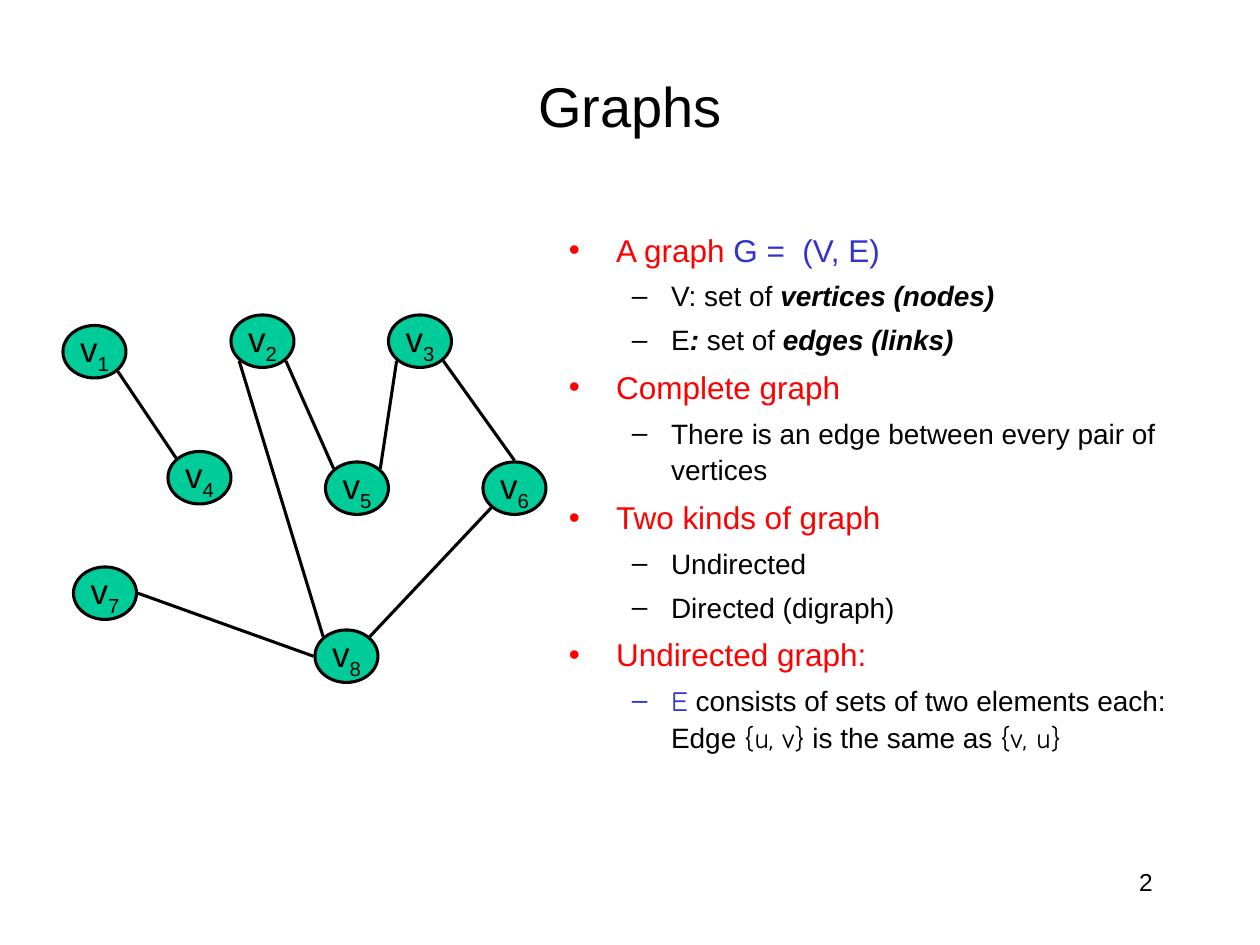
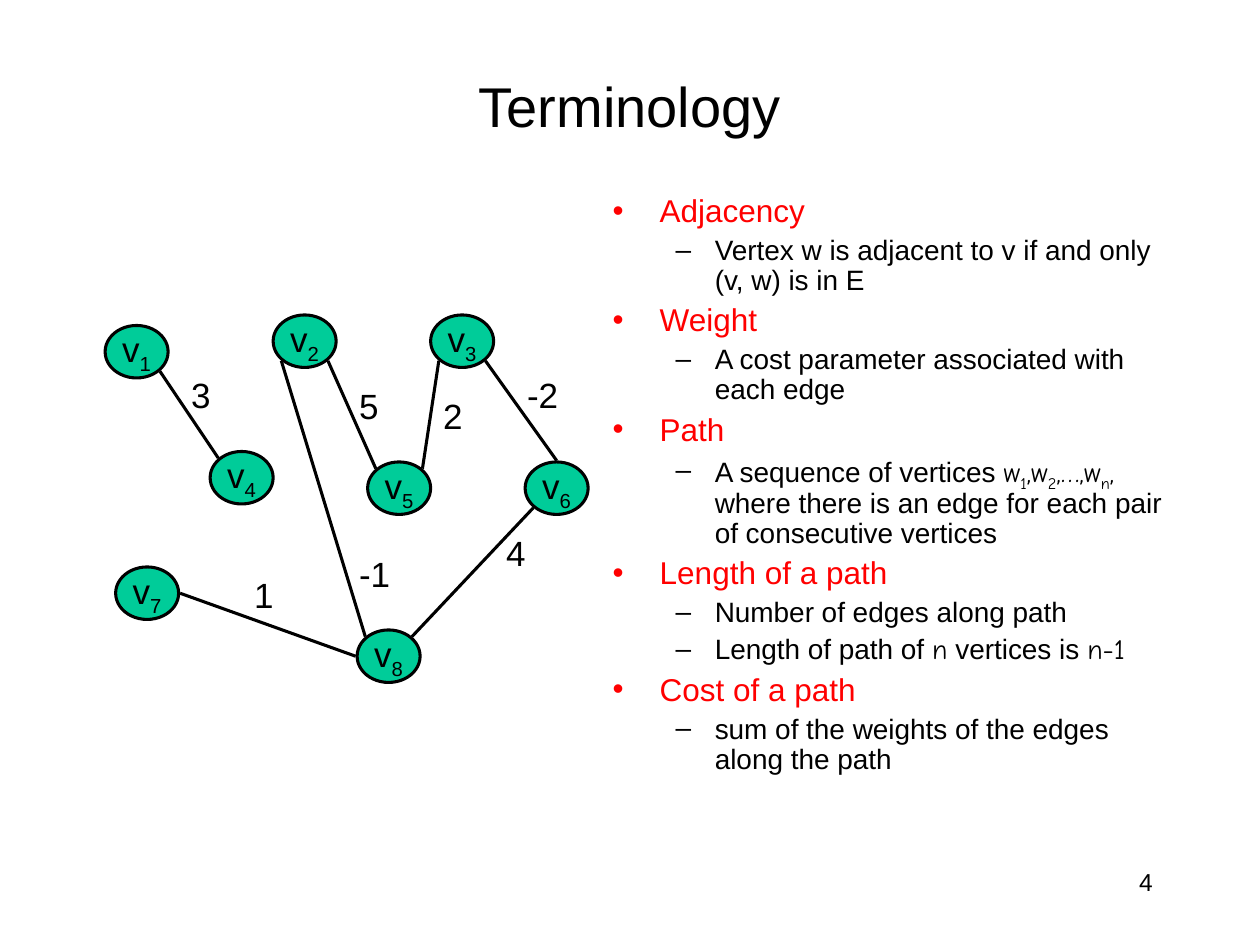
from math import cos, radians, sin

from lxml import etree
from pptx import Presentation
from pptx.dml.color import RGBColor
from pptx.enum.shapes import MSO_CONNECTOR, MSO_SHAPE
from pptx.enum.text import MSO_ANCHOR, PP_ALIGN
from pptx.oxml.ns import qn
from pptx.util import Cm, Pt

STRAIGHT = MSO_CONNECTOR.STRAIGHT
OVAL = MSO_SHAPE.OVAL
MIDDLE = MSO_ANCHOR.MIDDLE
CENTER, LEFT, RIGHT = PP_ALIGN.CENTER, PP_ALIGN.LEFT, PP_ALIGN.RIGHT

BLACK = RGBColor(0x00, 0x00, 0x00)
RED = RGBColor(0xFF, 0x00, 0x00)
BLUE = RGBColor(0x33, 0x33, 0xCC)
GREEN = RGBColor(0x00, 0xCC, 0x99)

SANS = "Arial"
MATH = "Comic Neue"
EMPHASIS = {"bold": True, "italic": True}
FORMULA = {"name": MATH}
SUBSCRIPT = {"name": MATH, "sub": True}

GRID = 2.54 / 12
NODE_WIDTH, NODE_HEIGHT = 6 * GRID, 5 * GRID
OUTLINE_GAP = 0.03
STROKE = Pt(1.75)

VERTICES = {
    1: (0, 1), 2: (16, 0), 3: (31, 0), 4: (10, 13),
    5: (25, 14), 6: (40, 14), 7: (1, 24), 8: (24, 30),
}
ANGLES = {"E": 0, "SE": 45, "SW": 135, "W": 180, "NW": 225, "N": 270, "NE": 315}
EDGES = [
    (1, "SE", 4, "NW"), (2, "SE", 5, "NW"), (3, "SW", 5, "NE"), (8, "NE", 6, "SW"),
    (2, "SW", 8, "NW"), (3, "SE", 6, "N"), (7, "E", 8, "W"),
]
WEIGHTS = [
    ("3", 7, 5), ("1", 13, 24), ("-1", 23, 22), ("5", 23, 6),
    ("2", 31, 7), ("-2", 39, 5), ("4", 37, 20),
]

LEVELS = [
    {"bullet": "•", "size": 18, "color": RED, "margin": 0.95, "hang": 0.95, "before": 4.5},
    {"bullet": "–", "size": 16, "color": BLACK, "margin": 2.06, "hang": 0.79, "before": 4},
]

GRAPH_OUTLINE = [
    (0, ["A graph ", ("G =  (V, E)", {"color": BLUE})]),
    (1, ["V: set of ", ("vertices (nodes)", EMPHASIS)]),
    (1, ["E", (": ", EMPHASIS), "set of ", ("edges (links)", EMPHASIS)]),
    (0, ["Complete graph"]),
    (1, ["There is an edge between every pair of vertices"]),
    (0, ["Two kinds of graph"]),
    (1, ["Undirected"]),
    (1, ["Directed (digraph)"]),
    (0, ["Undirected graph:"]),
    (1, [("E", {"name": MATH, "color": BLUE}),
         " consists of sets of two elements each: Edge ", ("{u, v}", FORMULA),
         " is the same as ", ("{v, u}", FORMULA)]),
]
TERM_OUTLINE = [
    (0, ["Adjacency"]),
    (1, ["Vertex w is adjacent to v if and only (v, w) is in E"]),
    (0, ["Weight"]),
    (1, ["A cost parameter associated with each edge"]),
    (0, ["Path"]),
    (1, ["A sequence of vertices ", ("w", FORMULA), ("1", SUBSCRIPT), (",w", FORMULA),
         ("2", SUBSCRIPT), (",…,w", FORMULA), ("n", SUBSCRIPT), (", ", FORMULA),
         "where there is an edge for each pair of consecutive vertices"]),
    (0, ["Length of a path"]),
    (1, ["Number of edges along path"]),
    (1, ["Length of path of ", ("n", FORMULA), " vertices is ", ("n-1", FORMULA)]),
    (0, ["Cost of a path"]),
    (1, ["sum of the weights of the edges along the path"]),
]


def style_paragraph(paragraph, size, color=BLACK, align=LEFT):
    paragraph.alignment = align
    paragraph.font.size = Pt(size)
    paragraph.font.name = SANS
    paragraph.font.color.rgb = color


def add_run(paragraph, text, name=None, color=None, bold=None, italic=None, sub=False):
    run = paragraph.add_run()
    run.text = text
    run.font.name = name
    run.font.bold = bold
    run.font.italic = italic
    if color is not None:
        run.font.color.rgb = color
    if sub:
        run._r.get_or_add_rPr().set("baseline", "-25000")


def add_label(shapes, box, text, size, align=LEFT, wrap=True):
    label = shapes.add_textbox(*map(Cm, box))
    frame = label.text_frame
    frame.word_wrap = wrap
    frame.text = text
    style_paragraph(frame.paragraphs[0], size, align=align)
    return frame


def add_bullet(paragraph, level, color):
    properties = paragraph._p.get_or_add_pPr()
    properties.set("marL", str(Cm(level["margin"])))
    properties.set("indent", str(-Cm(level["hang"])))
    bullet_color = etree.SubElement(properties, qn("a:buClr"))
    etree.SubElement(bullet_color, qn("a:srgbClr")).set("val", str(color))
    etree.SubElement(properties, qn("a:buFont")).set("typeface", SANS)
    etree.SubElement(properties, qn("a:buChar")).set("char", level["bullet"])


def add_outline(slide, box, items, line_spacing):
    frame = slide.shapes.add_textbox(*map(Cm, box)).text_frame
    frame.word_wrap = True
    for index, (depth, parts) in enumerate(items):
        paragraph = frame.paragraphs[0] if index == 0 else frame.add_paragraph()
        level = LEVELS[depth]
        runs = [(part, {}) if isinstance(part, str) else part for part in parts]
        add_bullet(paragraph, level, runs[0][1].get("color", level["color"]))
        paragraph.level = depth
        paragraph.line_spacing = line_spacing
        if index:
            paragraph.space_before = Pt(level["before"])
        style_paragraph(paragraph, level["size"], level["color"])
        for text, style in runs:
            add_run(paragraph, text, **style)


def add_vertex(shapes, left, top, number):
    column, row = VERTICES[number]
    vertex = shapes.add_shape(OVAL, Cm(left + column * GRID), Cm(top + row * GRID),
                              Cm(NODE_WIDTH), Cm(NODE_HEIGHT))
    vertex.shadow.inherit = False
    vertex.fill.solid()
    vertex.fill.fore_color.rgb = GREEN
    vertex.line.color.rgb = BLACK
    vertex.line.width = STROKE
    frame = vertex.text_frame
    frame.word_wrap = False
    frame.vertical_anchor = MIDDLE
    style_paragraph(frame.paragraphs[0], 20, align=CENTER)
    add_run(frame.paragraphs[0], "v")
    add_run(frame.paragraphs[0], str(number), sub=True)


def rim_point(left, top, number, direction):
    column, row = VERTICES[number]
    angle = radians(ANGLES[direction])
    x = left + column * GRID + NODE_WIDTH / 2 + (NODE_WIDTH / 2 + OUTLINE_GAP) * cos(angle)
    y = top + row * GRID + NODE_HEIGHT / 2 + (NODE_HEIGHT / 2 + OUTLINE_GAP) * sin(angle)
    return Cm(x), Cm(y)


def add_graph(slide, left, top, weights=()):
    shapes = slide.shapes.add_group_shape().shapes
    for number in VERTICES:
        add_vertex(shapes, left, top, number)
    for start, start_side, end, end_side in EDGES:
        edge = shapes.add_connector(STRAIGHT, *rim_point(left, top, start, start_side),
                                    *rim_point(left, top, end, end_side))
        edge.line.color.rgb = BLACK
        edge.line.width = STROKE
        etree.SubElement(edge._element.spPr, qn("a:effectLst"))
    for weight, column, row in weights:
        width = 0.64 + 0.25 * len(weight)
        box = (left + column * GRID, top + row * GRID, width, 1.11)
        add_label(shapes, box, weight, 20, wrap=False)


def add_topic_slide(prs, title, number):
    slide = prs.slides.add_slide(prs.slide_layouts[6])
    add_label(slide.shapes, (18.2, 17.36, 5.29, 1.27), number, 14, RIGHT)
    heading = add_label(slide.shapes, (1.9, 1.06, 21.6, 2.12), title, 32, CENTER)
    heading.vertical_anchor = MIDDLE
    return slide


def main():
    prs = Presentation()
    prs.slide_width, prs.slide_height = Cm(25.4), Cm(19.05)

    graphs = add_topic_slide(prs, "Graphs", "2")
    add_graph(graphs, 1.27, 6.35)
    add_outline(graphs, (11.22, 4.45, 13.34, 12.57), GRAPH_OUTLINE, 1.1)

    terminology = add_topic_slide(prs, "Terminology", "4")
    add_outline(terminology, (12.1, 3.81, 12.04, 13.54), TERM_OUTLINE, 0.9)
    add_graph(terminology, 2.12, 6.35, WEIGHTS)

    prs.save("out.pptx")


if __name__ == "__main__":
    main()
